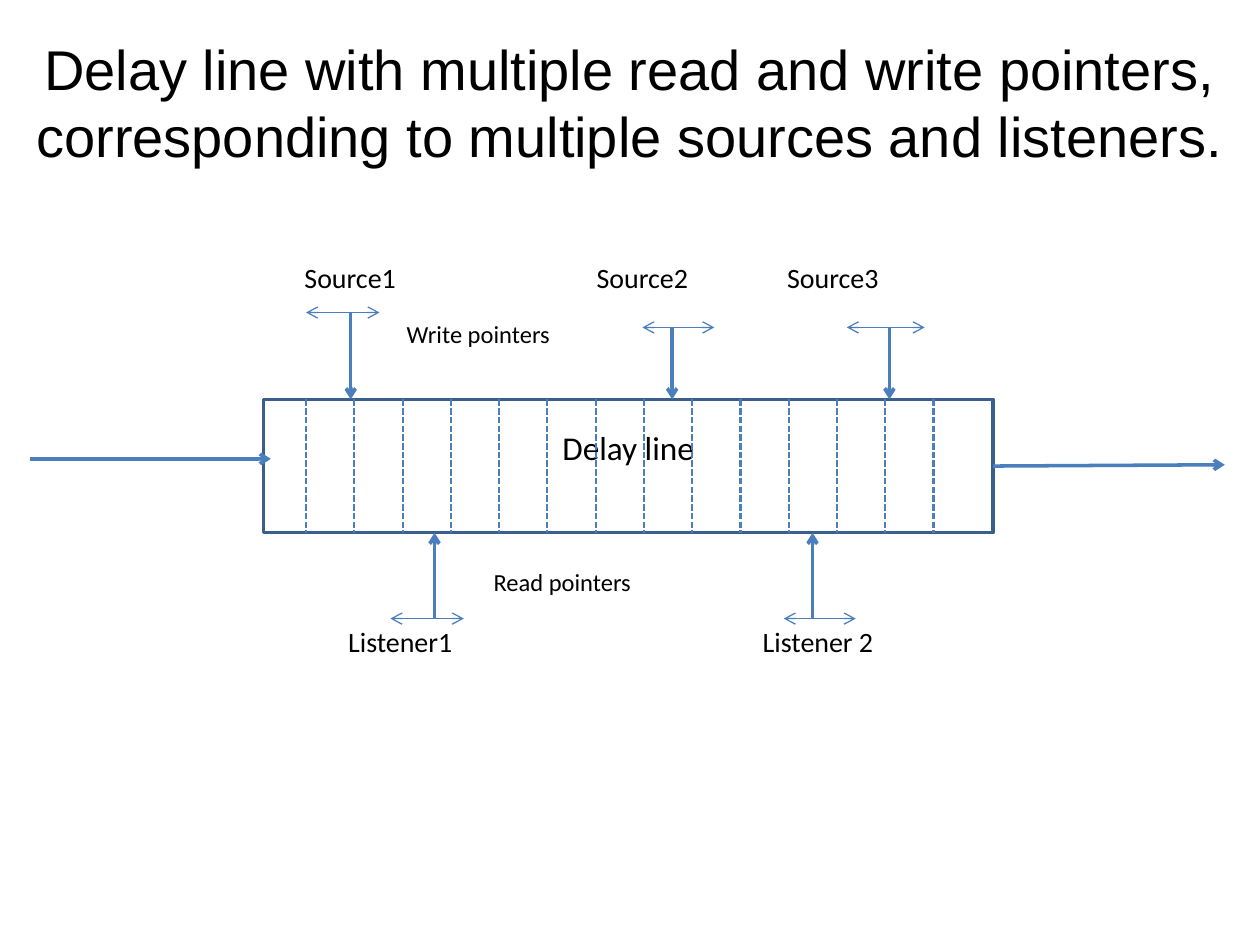
from lxml import etree
from pptx import Presentation
from pptx.dml.color import RGBColor
from pptx.enum.dml import MSO_LINE
from pptx.enum.shapes import MSO_CONNECTOR, MSO_SHAPE
from pptx.enum.text import MSO_ANCHOR, MSO_AUTO_SIZE, PP_ALIGN
from pptx.oxml.ns import qn
from pptx.util import Cm, Pt

STRAIGHT = MSO_CONNECTOR.STRAIGHT
RECTANGLE = MSO_SHAPE.RECTANGLE
DASHED = MSO_LINE.SQUARE_DOT
TOP, MIDDLE = MSO_ANCHOR.TOP, MSO_ANCHOR.MIDDLE
LEFT, CENTER = PP_ALIGN.LEFT, PP_ALIGN.CENTER
FIXED = MSO_AUTO_SIZE.NONE
RIGHT_SIDE = 3

BLUE, DARK_BLUE, BLACK = "4B7EBC", "3A5F8C", "000000"
LINE_LEFT, LINE_TOP, LINE_WIDTH, LINE_HEIGHT = 5.31, 8.05, 14.71, 2.69
LINE_BOTTOM = LINE_TOP + LINE_HEIGHT
FIRST_DIVIDER, LAST_DIVIDER, DIVIDERS = 6.17, 18.82, 14
LABEL_WIDTH, LABEL_HEIGHT = 4, 1.37
SOURCE_LABEL_TOP, LISTENER_TOP = 5.13, 12.47

# label, label centre, pointer x, pointer y, range left, range right
SOURCES = [
    ("Source1", 7.06, 7.07, 6.3, 6.17, 7.65),
    ("Source2", 12.95, 13.55, 6.6, 12.95, 14.4),
    ("Source3", 16.79, 17.93, 6.6, 17.07, 18.64),
]
LISTENERS = [
    ("Listener1", 8.07, 8.76, LISTENER_TOP, 7.87, 9.35),
    ("Listener 2", 16.49, 16.38, LISTENER_TOP, 15.8, 17.25),
]


def color(value):
    return RGBColor.from_string(value)


def set_text(shape, text, size, font="Calibri", align=CENTER, **frame_format):
    frame = shape.text_frame
    frame.text = text
    frame_values = {"word_wrap": True, "auto_size": FIXED, "vertical_anchor": TOP}
    for name, value in {**frame_values, **frame_format}.items():
        setattr(frame, name, value)
    para = frame.paragraphs[0]
    para.alignment = align
    for name, value in {"name": font, "size": Pt(size)}.items():
        setattr(para.font, name, value)
    para.font.color.rgb = color(BLACK)


def add_title(page, text):
    title = page.shapes.title
    place = {"left": Cm(0), "top": Cm(0), "width": Cm(25.4), "height": Cm(4.09)}
    for name, value in place.items():
        setattr(title, name, value)
    set_text(title, text, 32, "Arial", vertical_anchor=MIDDLE)


def add_label(page, text, left, top, size=16, align=CENTER):
    box = page.shapes.add_textbox(Cm(left), Cm(top), Cm(LABEL_WIDTH), Cm(LABEL_HEIGHT))
    set_text(box, text, size, align=align)


def add_line(page, start, end, width=2, ends=(), dash=None):
    """Draw a line; ends lists the arrowhead tags, headEnd at start and tailEnd at end."""
    line = page.shapes.add_connector(STRAIGHT, *map(Cm, start + end))
    line.line.color.rgb = color(BLUE)
    line.line.width = Pt(width)
    if dash:
        line.line.dash_style = dash
    outline = line.line._get_or_add_ln()
    for tag in ends:
        etree.SubElement(outline, qn(f"a:{tag}"), type="arrow")
    etree.SubElement(line._element.spPr, qn("a:effectLst"))
    return line


def add_arrow(page, start, end):
    return add_line(page, start, end, ends=["tailEnd"])


def add_delay_line(page):
    bar = page.shapes.add_shape(
        RECTANGLE, Cm(LINE_LEFT), Cm(LINE_TOP), Cm(LINE_WIDTH), Cm(LINE_HEIGHT))
    bar.shadow.inherit = False
    bar.fill.background()
    bar.line.color.rgb = color(DARK_BLUE)
    bar.line.width = Pt(2)
    set_text(bar, "Delay line", 19, margin_top=Cm(0.56))
    step = (LAST_DIVIDER - FIRST_DIVIDER) / (DIVIDERS - 1)
    for index in range(DIVIDERS):
        x = FIRST_DIVIDER + index * step
        add_line(page, (x, LINE_TOP), (x, LINE_BOTTOM), 1.25, dash=DASHED)
    return bar


def add_pointers(page, pointers, label_top, edge):
    """Add labelled arrows that reach the given edge, each with its range of movement."""
    for text, centre, x, y, range_left, range_right in pointers:
        add_label(page, text, centre - LABEL_WIDTH / 2, label_top)
        add_arrow(page, (x, y), (x, edge))
        add_line(page, (range_left, y), (range_right, y), 0.75, ["headEnd", "tailEnd"])


def main():
    deck = Presentation()
    deck.slide_width, deck.slide_height = Cm(25.4), Cm(19.05)
    page = deck.slides.add_slide(deck.slide_layouts[0])
    subtitle = page.placeholders[1]._element
    subtitle.getparent().remove(subtitle)

    add_title(page, "Delay line with multiple read and write pointers, "
                    "corresponding to multiple sources and listeners.")
    bar = add_delay_line(page)
    add_arrow(page, (0.61, 9.25), (5.46, 9.25))
    output = add_arrow(page, (20.02, 9.4), (24.69, 9.37))
    output.begin_connect(bar, RIGHT_SIDE)
    add_pointers(page, SOURCES, SOURCE_LABEL_TOP, LINE_TOP)
    add_pointers(page, LISTENERS, LISTENER_TOP, LINE_BOTTOM)
    add_label(page, "Write pointers", 7.95, 6.3, 14, LEFT)
    add_label(page, "Read pointers", 9.7, 11.3, 14, LEFT)
    deck.save("out.pptx")


if __name__ == "__main__":
    main()
